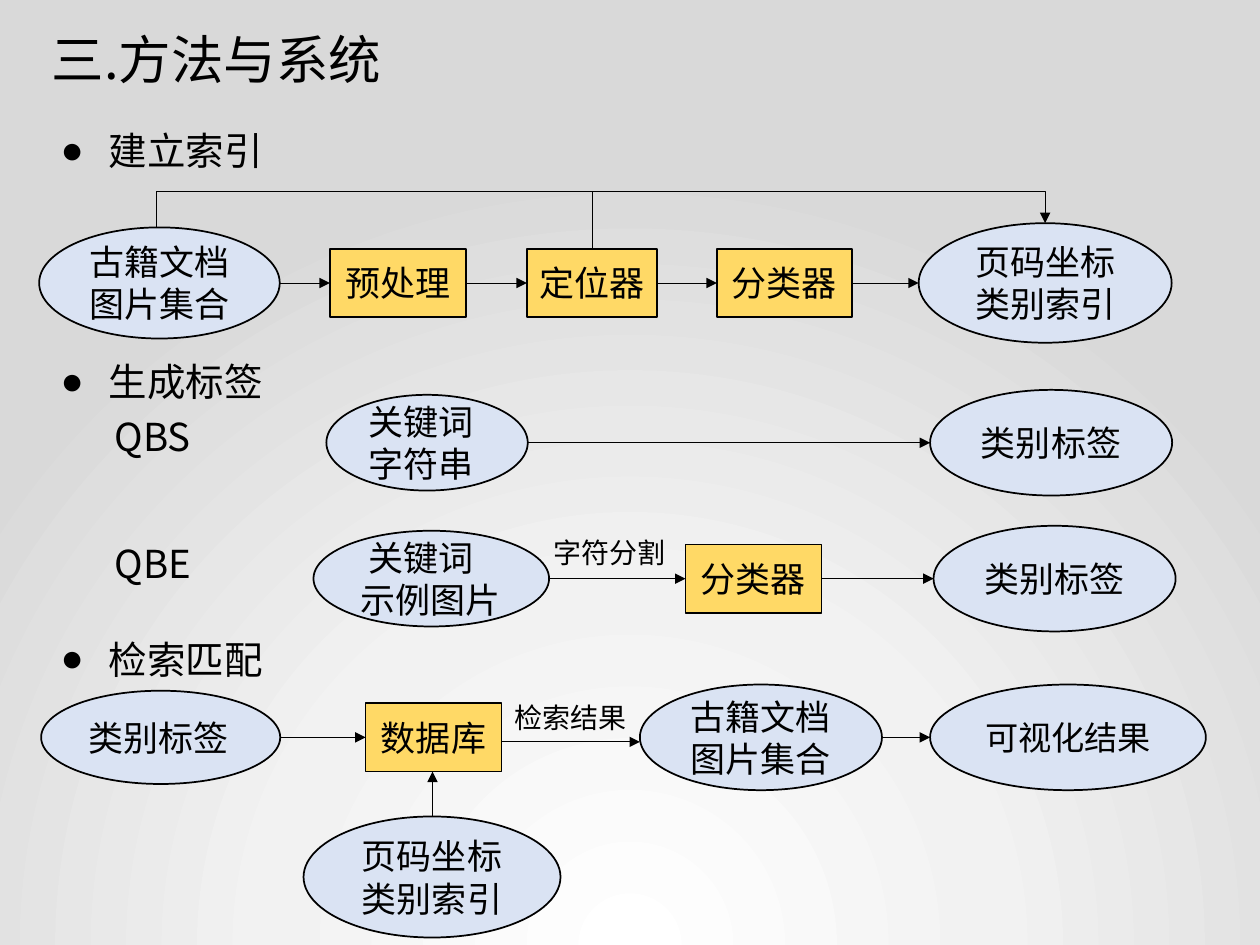
from lxml import etree
from pptx import Presentation
from pptx.dml.color import RGBColor
from pptx.enum.shapes import MSO_CONNECTOR as Link, MSO_SHAPE as Preset
from pptx.enum.text import MSO_ANCHOR as Anchor, MSO_AUTO_SIZE as AutoSize, PP_ALIGN as Align
from pptx.oxml import parse_xml
from pptx.oxml.ns import nsdecls, qn
from pptx.util import Cm, Pt

FONT = "Noto Sans CJK SC"
BLACK, BLUE, YELLOW = "000000", "DAE3F3", "FFD966"
PROCESS = (Preset.RECTANGLE, YELLOW)
DATA = (Preset.OVAL, BLUE)
STEP_HEIGHT = 1.38


def color(value):
    return RGBColor.from_string(value)


def set_attributes(target, values):
    for name, value in values.items():
        setattr(target, name, value)


def place(shape, box):
    set_attributes(shape, dict(zip(("left", "top", "width", "height"), map(Cm, box))))


def write(shape, lines, size, align=Align.LEFT, anchor=Anchor.TOP, wrap=True):
    """Fill a shape with one paragraph per line and return the paragraphs."""
    frame = shape.text_frame
    set_attributes(frame, {"text": "\n".join(lines), "word_wrap": wrap,
                           "auto_size": AutoSize.NONE, "vertical_anchor": anchor})
    for paragraph in frame.paragraphs:
        set_attributes(paragraph, {"alignment": align, "space_before": Pt(0)})
        for run in paragraph.runs:
            set_attributes(run.font, {"name": FONT, "size": Pt(size), "bold": False})
            run.font.color.rgb = color(BLACK)
            east_asian = etree.SubElement(run.font._element, qn("a:ea"))
            east_asian.set("typeface", FONT)
    return frame.paragraphs


def add_label(slide, box, text, size, align=Align.LEFT):
    label = slide.shapes.add_textbox(*map(Cm, box))
    write(label, [text], size, align)


def add_node(slide, box, kind, lines, size=20, align=Align.CENTER):
    preset, fill = kind
    node = slide.shapes.add_shape(preset, *map(Cm, box))
    node.shadow.inherit = False
    node.fill.solid()
    node.fill.fore_color.rgb = color(fill)
    node.line.color.rgb = color(BLACK)
    node.line.width = Pt(1)
    return write(node, lines, size, align, Anchor.MIDDLE)


def add_link(slide, start, end, arrow=True, kind=Link.STRAIGHT):
    link = slide.shapes.add_connector(kind, *map(Cm, (*start, *end)))
    link.line.color.rgb = color(BLACK)
    link.line.width = Pt(0.5)
    if arrow:
        etree.SubElement(link.line._get_or_add_ln(), qn("a:tailEnd")).set("type", "triangle")
    etree.SubElement(link._element.spPr, qn("a:effectLst"))
    return link


def add_row(slide, box, nodes, drops=None):
    """Centre nodes on the middle line of the box and join neighbours with arrows.

    A node is (offset, width, height, kind, lines, options);
    drops lowers the arrow that enters a node.
    """
    left, top, _, height = box
    axis = top + height / 2
    written, previous_end = [], None
    for index, (offset, wide, high, kind, lines, options) in enumerate(nodes):
        start = left + offset
        written.append(add_node(slide, (start, axis - high / 2, wide, high),
                                kind, lines, **options))
        if previous_end is not None:
            y = axis + (drops or {}).get(index, 0)
            add_link(slide, (previous_end, y), (start, y))
        previous_end = start + wide
    return written


def add_background(slide):
    slide.background.fill.solid()
    properties = slide._element.cSld.find(qn("p:bg")).find(qn("p:bgPr"))
    stops = "".join(f'<a:gs pos="{position}000"><a:srgbClr val="{value}"/></a:gs>'
                    for position, value in ((0, "FFFFFF"), (46, "F2F2F2"), (100, "D9D9D9")))
    gradient = parse_xml(
        f'<a:gradFill {nsdecls("a")} rotWithShape="1"><a:gsLst>{stops}</a:gsLst>'
        '<a:path path="circle"><a:fillToRect l="50000" t="130000" r="50000" b="-30000"/>'
        '</a:path></a:gradFill>')
    properties.replace(properties.find(qn("a:solidFill")), gradient)


def add_headings(slide, title_box, body_box):
    title, body = slide.shapes.title, slide.placeholders[1]
    place(title, title_box)
    write(title, ["三.方法与系统"], 30)
    place(body, body_box)
    paragraphs = write(body, ["建立索引", "生成标签", "检索匹配"], 22)
    # Each heading leaves room for the diagram above it
    for paragraph, gap in zip(paragraphs, (0, 105.6, 132)):
        paragraph.space_before = Pt(gap)
        properties = paragraph._element.get_or_add_pPr()
        properties.set("marL", str(Cm(0.97)))
        properties.set("indent", str(-Cm(0.97)))
        etree.SubElement(properties, qn("a:buChar")).set("char", "●")


def add_index_flow(slide, box):
    left, top, _, _ = box
    add_row(slide, box, [
        (0, 4.85, 2.24, DATA, ["古籍文档图片集合"], {}),
        (5.86, 2.74, STEP_HEIGHT, PROCESS, ["预处理"], {}),
        (9.83, 2.62, STEP_HEIGHT, PROCESS, ["定位器"], {}),
        (13.66, 2.72, STEP_HEIGHT, PROCESS, ["分类器"], {}),
        (17.73, 5.1, 2.41, DATA, ["页码坐标", "类别索引"], {}),
    ])
    # Rail above the row: documents and locator both lead to the index
    rail = top - 0.64
    documents, locator, index = left + 2.36, left + 11.15, left + 20.28
    add_link(slide, (documents, top + 0.07), (documents, rail), arrow=False)
    add_link(slide, (locator, rail), (documents, rail), arrow=False)
    # The elbow leaves upwards, so it is laid out upright and turned a quarter
    rise, span = 0.5, index - locator
    middle_x, middle_y = (locator + index) / 2, top + rise / 2
    elbow = add_link(slide, (middle_x + rise / 2, middle_y + span / 2),
                     (middle_x - rise / 2, middle_y - span / 2), kind=Link.ELBOW)
    elbow._element.spPr.find(qn("a:xfrm")).set("rot", "5400000")
    guides = elbow._element.spPr.find(qn("a:prstGeom")).get_or_add_avLst()
    guide = etree.SubElement(guides, qn("a:gd"))
    guide.set("name", "adj1")
    guide.set("fmla", f"val {round((rise + 0.64) / rise * 100000)}")


def add_string_query(slide, box):
    left, top, _, _ = box
    add_label(slide, (left - 4.52, top + 0.34, 2.74, 1.2), "QBS", 22)
    add_row(slide, box, [
        (0, 4.06, 1.93, DATA, ["关键词字符串"], {"align": Align.LEFT}),
        (12.17, 4.88, 2.13, DATA, ["类别标签"], {}),
    ])


def add_example_query(slide, box):
    left, top, _, _ = box
    add_label(slide, (left - 4.26, top + 0.17, 2.74, 1.2), "QBE", 22)
    written = add_row(slide, box, [
        (0, 4.75, 1.93, DATA, ["关键词", "示例图片"], {"align": Align.LEFT}),
        (7.5, 2.74, STEP_HEIGHT, PROCESS, ["分类器"], {}),
        (12.5, 4.88, 2.13, DATA, ["类别标签"], {}),
    ])
    written[0][0]._element.get_or_add_pPr().set("indent", str(Cm(0.16)))
    add_label(slide, (left + 4.12, top + 0.07, 3.7, 0.94), "字符分割", 16, Align.CENTER)


def add_search_flow(slide, box):
    left, top, _, height = box
    add_row(slide, box, [
        (0, 4.82, 1.88, DATA, ["类别标签"], {"align": Align.LEFT}),
        (6.54, 2.74, STEP_HEIGHT, PROCESS, ["数据库"], {}),
        (12.07, 4.88, 2.13, DATA, ["古籍文档", "图片集合"], {}),
        (17.92, 5.56, 2.13, DATA, ["可视化结果"], {"size": 19}),
    ], drops={2: 0.09})
    add_label(slide, (left + 8.82, top + 0.2, 3.7, 0.94), "检索结果", 16, Align.CENTER)
    # Index that feeds the database from below
    index_top, database = top + 2.66, left + 7.89
    add_node(slide, (database - 2.6, index_top, 5.18, 2.44), DATA, ["页码坐标类别索引"])
    add_link(slide, (database, index_top), (database, top + (height + STEP_HEIGHT) / 2))


def main():
    presentation = Presentation()
    presentation.slide_width, presentation.slide_height = Cm(25.4), Cm(19.05)
    slide = presentation.slides.add_slide(presentation.slide_layouts[1])
    add_background(slide)
    add_headings(slide, (0.79, 0.41, 9.86, 1.55), (0.97, 2.44, 12.88, 11.53))
    add_index_flow(slide, (0.79, 4.5, 22.83, 2.41))
    add_string_query(slide, (6.58, 7.86, 17.05, 2.13))
    add_example_query(slide, (6.32, 10.6, 17.38, 2.13))
    add_search_flow(slide, (0.83, 13.8, 23.48, 2.13))
    presentation.save("out.pptx")


if __name__ == "__main__":
    main()
